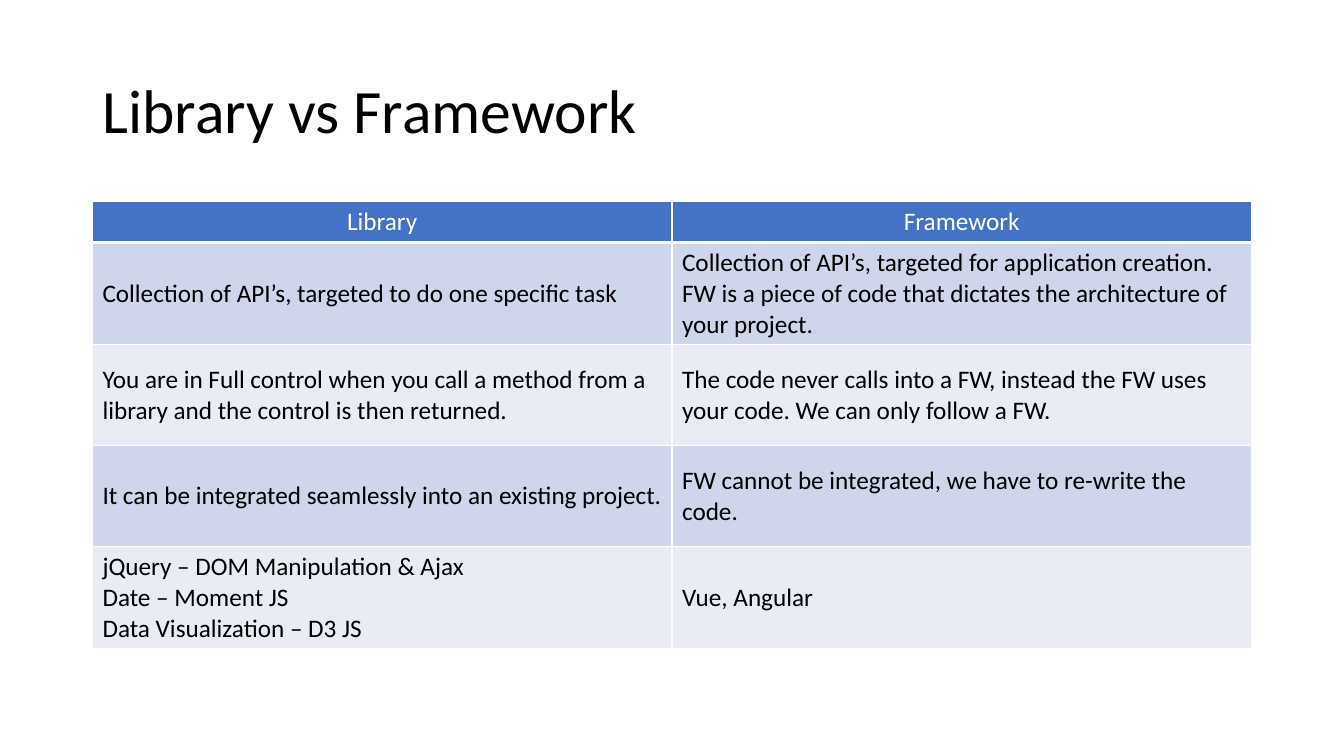
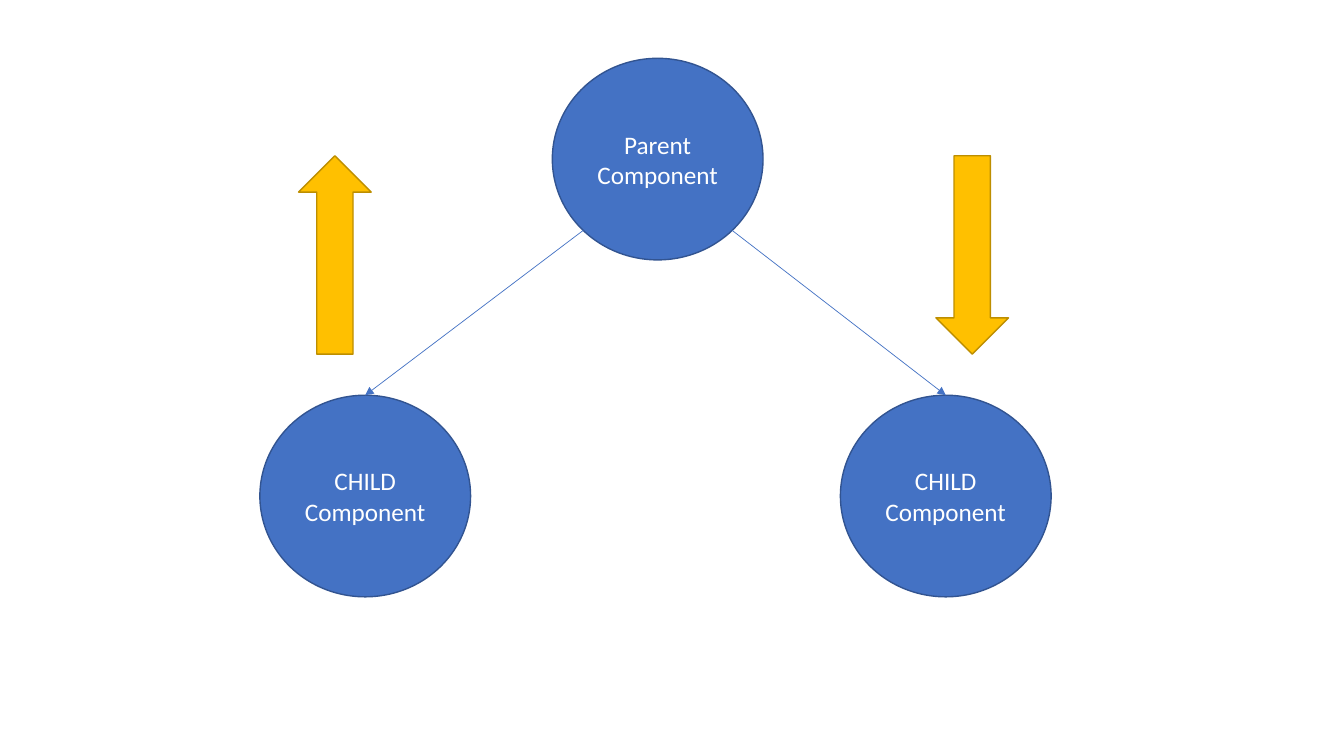
from dataclasses import dataclass
from math import cos, pi

from lxml import etree
from pptx import Presentation
from pptx.dml.color import RGBColor
from pptx.enum.shapes import MSO_CONNECTOR, MSO_SHAPE
from pptx.enum.text import MSO_ANCHOR, PP_ALIGN
from pptx.oxml.ns import qn
from pptx.util import Cm, Pt

STRAIGHT = MSO_CONNECTOR.STRAIGHT
ELLIPSE = MSO_SHAPE.OVAL
RIGHT_ARROW = MSO_SHAPE.RIGHT_ARROW
MIDDLE, TOP = MSO_ANCHOR.MIDDLE, MSO_ANCHOR.TOP
LEFT, CENTER = PP_ALIGN.LEFT, PP_ALIGN.CENTER
TITLE_ONLY, BLANK = 5, 6


@dataclass(frozen=True)
class Theme:
    font: str = "Calibri"
    title_size: int = 44
    text_size: int = 18
    dark: str = "000000"
    light: str = "FFFFFF"
    blue: str = "4472C4"
    blue_edge: str = "325491"
    gold: str = "FFC000"
    gold_edge: str = "BD8E00"
    bands: tuple = ("CFD5EA", "E9EBF5")


class Deck:
    def __init__(self, theme):
        self.theme = theme
        self.presentation = Presentation()
        self.presentation.slide_width = Cm(33.87)
        self.presentation.slide_height = Cm(19.05)
        self.slide = None

    def new_slide(self, layout):
        layouts = self.presentation.slide_layouts
        self.slide = self.presentation.slides.add_slide(layouts[layout])

    def add_lines(self, frame, lines, color, size, align):
        frame.word_wrap = True
        for index, line in enumerate(lines):
            paragraph = frame.add_paragraph() if index else frame.paragraphs[0]
            paragraph.alignment = align
            run = paragraph.add_run()
            run.text = line
            run.font.name = self.theme.font
            run.font.size = Pt(size)
            run.font.bold = False
            run.font.color.rgb = RGBColor.from_string(color)

    def title(self, text):
        heading = self.slide.shapes.title
        heading.left, heading.top = Cm(2.33), Cm(1.01)
        heading.width, heading.height = Cm(29.21), Cm(3.68)
        frame = heading.text_frame
        frame.vertical_anchor = MIDDLE
        self.add_lines(frame, [text], self.theme.dark, self.theme.title_size, LEFT)
        frame.paragraphs[0].line_spacing = 0.9

    def border(self, cell, bottom):
        properties = cell._tc.get_or_add_tcPr()
        widths = {"a:lnL": 1, "a:lnR": 1, "a:lnT": 1, "a:lnB": bottom}
        for position, (side, width) in enumerate(widths.items()):
            edge = etree.Element(qn(side), w=str(Pt(width)))
            fill = etree.SubElement(edge, qn("a:solidFill"))
            etree.SubElement(fill, qn("a:srgbClr"), val=self.theme.light)
            properties.insert(position, edge)

    def table(self, rows, left, top, width, header_height, row_height):
        theme = self.theme
        height = header_height + row_height * (len(rows) - 1)
        grid = self.slide.shapes.add_table(
            len(rows), len(rows[0]), left, top, width, height).table
        grid.horz_banding = False
        for row_index, row in enumerate(rows):
            header = row_index == 0
            grid.rows[row_index].height = header_height if header else row_height
            band = theme.blue if header else theme.bands[(row_index - 1) % 2]
            for column_index, lines in enumerate(row):
                cell = grid.cell(row_index, column_index)
                cell.fill.solid()
                cell.fill.fore_color.rgb = RGBColor.from_string(band)
                cell.vertical_anchor = TOP if header else MIDDLE
                self.add_lines(cell.text_frame, lines,
                               theme.light if header else theme.dark,
                               theme.text_size, CENTER if header else LEFT)
                self.border(cell, 3 if header else 1)

    def shape(self, preset, left, top, width, height, fill, edge):
        figure = self.slide.shapes.add_shape(preset, left, top, width, height)
        figure.shadow.inherit = False
        figure.fill.solid()
        figure.fill.fore_color.rgb = RGBColor.from_string(fill)
        figure.line.color.rgb = RGBColor.from_string(edge)
        figure.line.width = Pt(1)
        return figure

    def component(self, text, left, top):
        theme = self.theme
        circle = self.shape(ELLIPSE, left, top, Cm(5.31), Cm(5.08),
                            theme.blue, theme.blue_edge)
        circle.text_frame.vertical_anchor = MIDDLE
        self.add_lines(circle.text_frame, [text], theme.light,
                       theme.text_size, CENTER)
        return circle

    def flow_arrow(self, left, rotation):
        arrow = self.shape(RIGHT_ARROW, left, Cm(5.51), Cm(5), Cm(1.83),
                           self.theme.gold, self.theme.gold_edge)
        arrow.rotation = rotation

    def branch(self, parent, child, side):
        reach = cos(pi / 4)
        start_x = parent.left + int(parent.width / 2 * (1 + side * reach))
        start_y = parent.top + int(parent.height / 2 * (1 + reach))
        link = self.slide.shapes.add_connector(
            STRAIGHT, start_x, start_y, child.left + child.width // 2, child.top)
        link.end_connect(child, 0)
        link.line.color.rgb = RGBColor.from_string(self.theme.blue)
        link.line.width = Pt(0.5)
        outline = link._element.spPr.find(qn("a:ln"))
        etree.SubElement(outline, qn("a:tailEnd"), type="triangle")
        etree.SubElement(link._element.spPr, qn("a:effectLst"))


COMPARISON = [
    (["Library"], ["Framework"]),
    (["Collection of API’s, targeted to do one specific task"],
     ["Collection of API’s, targeted for application creation. FW is a piece "
      "of code that dictates the architecture of your project."]),
    (["You are in Full control when you call a method from a library and the "
      "control is then returned."],
     ["The code never calls into a FW, instead the FW uses your code. "
      "We can only follow a FW."]),
    (["It can be integrated seamlessly into an existing project."],
     ["FW cannot be integrated, we have to re-write the code."]),
    (["jQuery – DOM Manipulation & Ajax", "Date – Moment JS",
      "Data Visualization – D3 JS"],
     ["Vue, Angular"]),
]


def main():
    deck = Deck(Theme())

    deck.new_slide(TITLE_ONLY)
    deck.title("Library vs Framework")
    deck.table(COMPARISON, Cm(2.33), Cm(5.08), Cm(29.21), Cm(1.03), Cm(2.54))

    deck.new_slide(BLANK)
    parent = deck.component("Parent Component", Cm(13.92), Cm(1.47))
    children = [deck.component("CHILD Component", Cm(left), Cm(9.96))
                for left in (6.55, 21.18)]
    for child, side in zip(children, (-1, 1)):
        deck.branch(parent, child, side)
    for left, rotation in ((5.94, 270), (22, 90)):
        deck.flow_arrow(Cm(left), rotation)

    deck.presentation.save("out.pptx")


if __name__ == "__main__":
    main()
